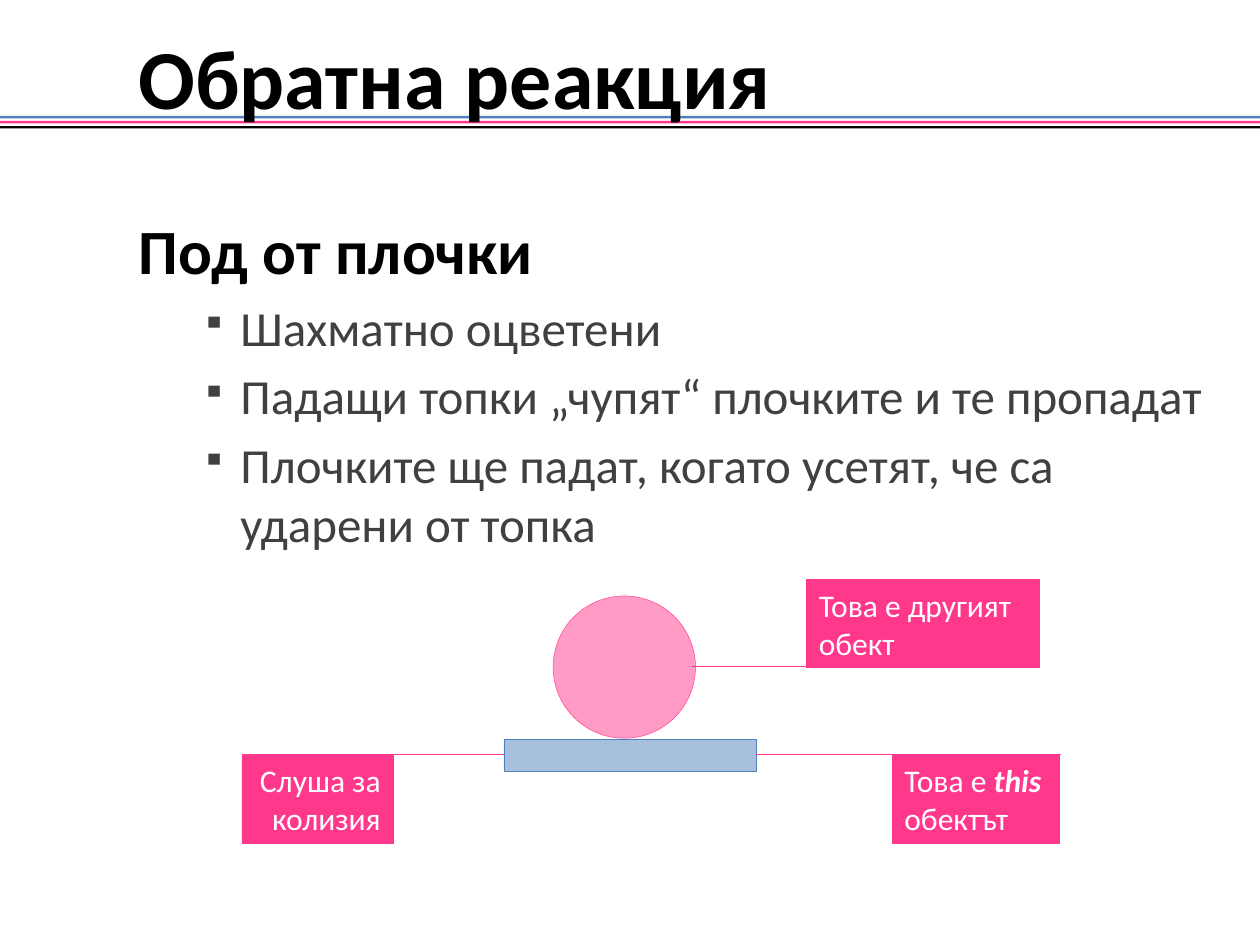
from lxml import etree
from pptx import Presentation
from pptx.dml.color import RGBColor
from pptx.enum import shapes, text
from pptx.oxml import ns
from pptx.util import Inches, Pt

BLUE = RGBColor(0x4F, 0x81, 0xBD)
PINK = RGBColor(0xFF, 0x38, 0x8C)
BLACK = RGBColor(0, 0, 0)
GRAY = RGBColor(0x40, 0x40, 0x40)
WHITE = RGBColor(0xFF, 0xFF, 0xFF)

TITLE = "Обратна реакция"
HEADING = "Под от плочки"
POINTS = [
    "Шахматно оцветени",
    "Падащи топки „чупят“ плочките и те пропадат",
    "Плочките ще падат, когато усетят, че са ударени от топка",
]
RULES = [BLUE, PINK, BLACK]
BODIES = [
    (shapes.MSO_SHAPE.RECTANGLE, (4, 5.87, 2, 0.25), BLUE),
    (shapes.MSO_SHAPE.OVAL, (4.39, 4.73, 1.13, 1.13), PINK),
]
LEFT, RIGHT = text.PP_ALIGN.LEFT, text.PP_ALIGN.RIGHT
EMPHASIS = {"bold": True, "italic": True}
CALLOUTS = [
    ((1.92, 5.99, 1.2, 0.7), RIGHT, [("Слуша за колизия", {})], (4, 1.92, 5.99)),
    ((6.4, 4.6, 1.85, 0.7), LEFT, [("Това е другият обект", {})], (8.25, 5.49, 5.29)),
    ((7.08, 5.99, 1.33, 0.7), LEFT,
     [("Това е ", {}), ("this ", EMPHASIS), ("обектът", {})], (8.42, 6, 5.99)),
]


def add_child(parent, tag, **attributes):
    return etree.SubElement(parent, ns.qn(tag), attributes)


def add_run(paragraph, words, size, color, **styles):
    run = paragraph.add_run()
    run.text = words
    run.font.color.rgb = color
    for key, value in {"name": "Calibri", "size": Pt(size), **styles}.items():
        setattr(run.font, key, value)


def indent(paragraph, margin, hanging):
    properties = paragraph._p.get_or_add_pPr()
    properties.set("marL", str(Inches(margin)))
    properties.set("indent", str(Inches(hanging)))
    return properties


def add_bullet(paragraph):
    properties = indent(paragraph, 0.81, -0.31)
    color = add_child(properties, "a:buClr")
    add_child(color, "a:srgbClr", val=str(GRAY))
    add_child(properties, "a:buSzPct", val="70000")
    add_child(properties, "a:buChar", char="▪")


def add_text(slide, box, anchor):
    frame = slide.shapes.add_textbox(*map(Inches, box)).text_frame
    frame.word_wrap = True
    frame.vertical_anchor = anchor
    return frame


def add_block(slide, kind, box, color, outlined=True, alpha=None):
    block = slide.shapes.add_shape(kind, *map(Inches, box))
    block.shadow.inherit = False
    block.fill.solid()
    block.fill.fore_color.rgb = color
    if outlined:
        block.line.color.rgb = color
        block.line.width = Pt(0.25)
    else:
        block.line.fill.background()
    if alpha:
        shade = block._element.spPr.find(ns.qn("a:solidFill"))[0]
        add_child(shade, "a:alpha", val=str(alpha * 1000))
    return block


def add_callout(slide, box, align, runs, leader):
    frame = add_block(slide, shapes.MSO_SHAPE.RECTANGLE, box, PINK).text_frame
    frame.word_wrap = True
    frame.vertical_anchor = text.MSO_ANCHOR.TOP
    label = frame.paragraphs[0]
    label.alignment = align
    for words, styles in runs:
        add_run(label, words, 18, WHITE, **styles)
    start, end, level = map(Inches, leader)
    line = slide.shapes.add_connector(
        shapes.MSO_CONNECTOR.STRAIGHT, start, level, end, level)
    line.line.color.rgb = PINK
    line.line.width = Pt(0.25)
    add_child(line._element.spPr, "a:effectLst")


def main():
    deck = Presentation()
    deck.slide_width, deck.slide_height = Inches(10), Inches(7.5)
    slide = deck.slides.add_slide(deck.slide_layouts[6])

    for i, color in enumerate(RULES):
        add_block(slide, shapes.MSO_SHAPE.RECTANGLE,
                  (-0.08, 0.92 + 0.04 * i, 10.17, 0.02), color, outlined=False)

    title = add_text(slide, (0, 0.25, 10, 0.71), text.MSO_ANCHOR.MIDDLE).paragraphs[0]
    indent(title, 1, 0)
    add_run(title, TITLE, 48, BLACK, bold=True)

    content = add_text(slide, (1, 1.33, 8.92, 6.08), text.MSO_ANCHOR.TOP)
    heading = content.paragraphs[0]
    heading.line_spacing = 1.5
    add_run(heading, HEADING, 36, BLACK, bold=True)
    for words in POINTS:
        point = content.add_paragraph()
        point.level = 1
        point.space_before = Pt(5.6)
        add_bullet(point)
        add_run(point, words, 28, GRAY)

    for kind, box, color in BODIES:
        add_block(slide, kind, box, color, alpha=50)
    for callout in CALLOUTS:
        add_callout(slide, *callout)

    deck.save("out.pptx")


if __name__ == "__main__":
    main()
